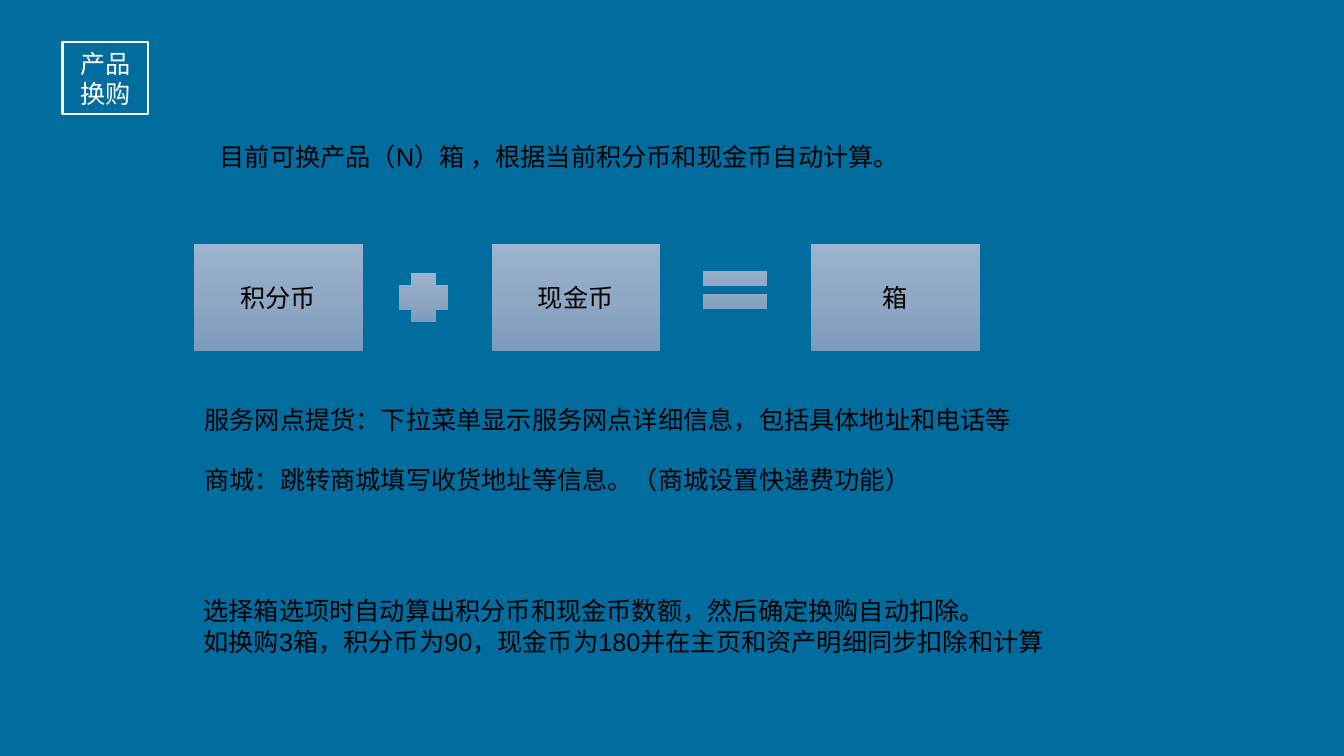
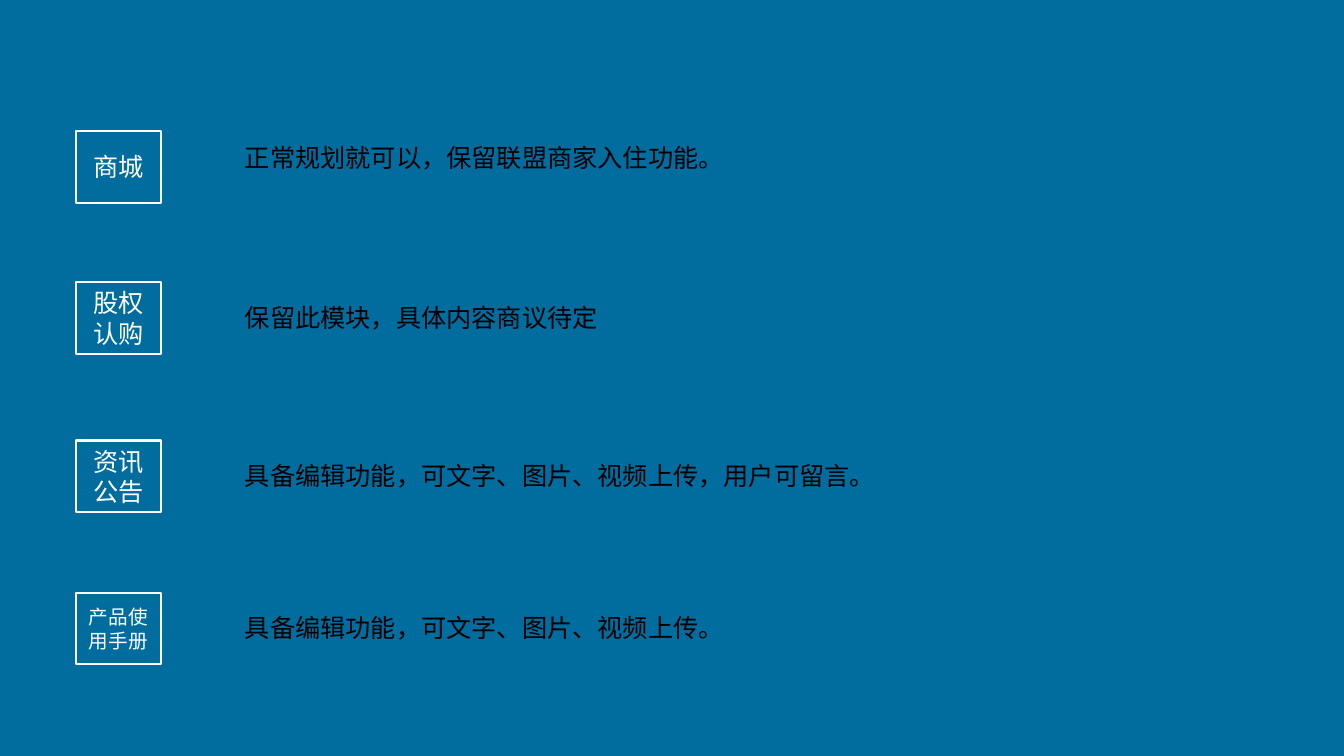
from copy import deepcopy

from pptx import Presentation
from pptx.dml.color import RGBColor
from pptx.enum.shapes import MSO_SHAPE as SHAPE
from pptx.enum.text import MSO_ANCHOR as ANCHOR, MSO_AUTO_SIZE as AUTO, PP_ALIGN as ALIGN
from pptx.oxml.ns import qn
from pptx.util import Inches, Pt

BLUE = RGBColor(0x01, 0x6C, 0x9E)
WHITE = RGBColor(0xFF, 0xFF, 0xFF)
BLACK = RGBColor(0x00, 0x00, 0x00)
GRADIENT = (RGBColor(0x9D, 0xB4, 0xCE), RGBColor(0x90, 0xA8, 0xC4), RGBColor(0x7C, 0x9B, 0xBC))
FONT = "Arial"
TAG_SIZE = (0.85, 0.71)
TERM_SIZE = (1.68, 1.08)
LINE_GAP = 21.5

EXCHANGE_TAG = "产品换购"
EXCHANGE_NOTES = [
    (2.08, 1.35, 6.8, 0.4, ["目前可换产品（N）箱 ，根据当前积分币和现金币自动计算。"], 0),
    (1.93, 3.96, 9.27, 1.01, ["服务网点提货：下拉菜单显示服务网点详细信息，包括具体地址和电话等",
                              "商城：跳转商城填写收货地址等信息。（商城设置快递费功能）"], LINE_GAP),
    (1.92, 5.86, 8.83, 0.71, ["选择箱选项时自动算出积分币和现金币数额，然后确定换购自动扣除。",
                              "如换购3箱，积分币为90，现金币为180并在主页和资产明细同步扣除和计算"], 0),
]
TERMS = [(1.92, "积分币"), (4.87, "现金币"), (8.04, "箱")]
OPERATORS = [
    (SHAPE.CROSS, 3.95, 2.7, 0.5, 0.5),
    (SHAPE.MATH_EQUAL, 6.85, 2.55, 0.88, 0.65),
]
MODULES = [
    (1.3, "商城", 18, 1.36, "正常规划就可以，保留联盟商家入住功能。"),
    (2.8, "股权认购", 18, 2.95, "保留此模块，具体内容商议待定"),
    (4.37, "资讯公告", 18, 4.52, "具备编辑功能，可文字、图片、视频上传，用户可留言。"),
    (5.88, "产品使用手册", 14, 6.03, "具备编辑功能，可文字、图片、视频上传。"),
]


def add_slide(prs):
    slide = prs.slides.add_slide(prs.slide_layouts[6])
    slide.background.fill.solid()
    slide.background.fill.fore_color.rgb = BLUE
    return slide


def style_text(p, color, size=18):
    for r in p.runs:
        r.font.name, r.font.size = FONT, Pt(size)
        r.font.color.rgb = color


def add_box(slide, kind, x, y, w, h, line, width, text="", color=BLACK, size=18):
    s = slide.shapes.add_shape(kind, *map(Inches, (x, y, w, h)))
    s.shadow.inherit = False
    s.line.color.rgb, s.line.width = line, Pt(width)
    if text:
        tf = s.text_frame
        tf.text = text
        tf.word_wrap = True
        tf.vertical_anchor = ANCHOR.MIDDLE
        p = tf.paragraphs[0]
        p.alignment = ALIGN.CENTER
        style_text(p, color, size)
    return s


def add_tag(slide, x, y, text, size=18):
    s = add_box(slide, SHAPE.RECTANGLE, x, y, *TAG_SIZE, WHITE, 1.5, text, WHITE, size)
    s.fill.solid()
    s.fill.fore_color.rgb = BLUE


def add_gradient_box(slide, kind, x, y, w, h, text=""):
    s = add_box(slide, kind, x, y, w, h, BLUE, 0.5, text)
    s.fill.gradient()
    s.fill.gradient_angle = 270
    stops = s._element.spPr.find(qn("a:gradFill")).find(qn("a:gsLst"))
    middle = deepcopy(stops[0])
    middle.set("pos", "50000")
    stops.insert(1, middle)
    for stop, color in zip(s.fill.gradient_stops, GRADIENT):
        stop.color.rgb = color


def add_note(slide, x, y, w, h, lines, gap=0):
    tf = slide.shapes.add_textbox(*map(Inches, (x, y, w, h))).text_frame
    tf.word_wrap = True
    tf.auto_size = AUTO.SHAPE_TO_FIT_TEXT
    for i, line in enumerate(lines):
        p = tf.add_paragraph() if i else tf.paragraphs[0]
        p.text = line
        if i and gap:
            p.space_before = Pt(gap)
        style_text(p, BLACK)


def build_exchange(prs):
    slide = add_slide(prs)
    add_tag(slide, 0.62, 0.42, EXCHANGE_TAG)
    for x, text in TERMS:
        add_gradient_box(slide, SHAPE.RECTANGLE, x, 2.41, *TERM_SIZE, text)
    for operator in OPERATORS:
        add_gradient_box(slide, *operator)
    for note in EXCHANGE_NOTES:
        add_note(slide, *note)


def build_modules(prs):
    slide = add_slide(prs)
    for tag_y, name, size, note_y, note in MODULES:
        add_tag(slide, 0.75, tag_y, name, size)
        add_note(slide, 2.33, note_y, 6.22, 0.4, [note])


def main():
    prs = Presentation()
    prs.slide_width, prs.slide_height = Inches(13.33), Inches(7.5)
    build_exchange(prs)
    build_modules(prs)
    prs.save("out.pptx")


if __name__ == "__main__":
    main()
